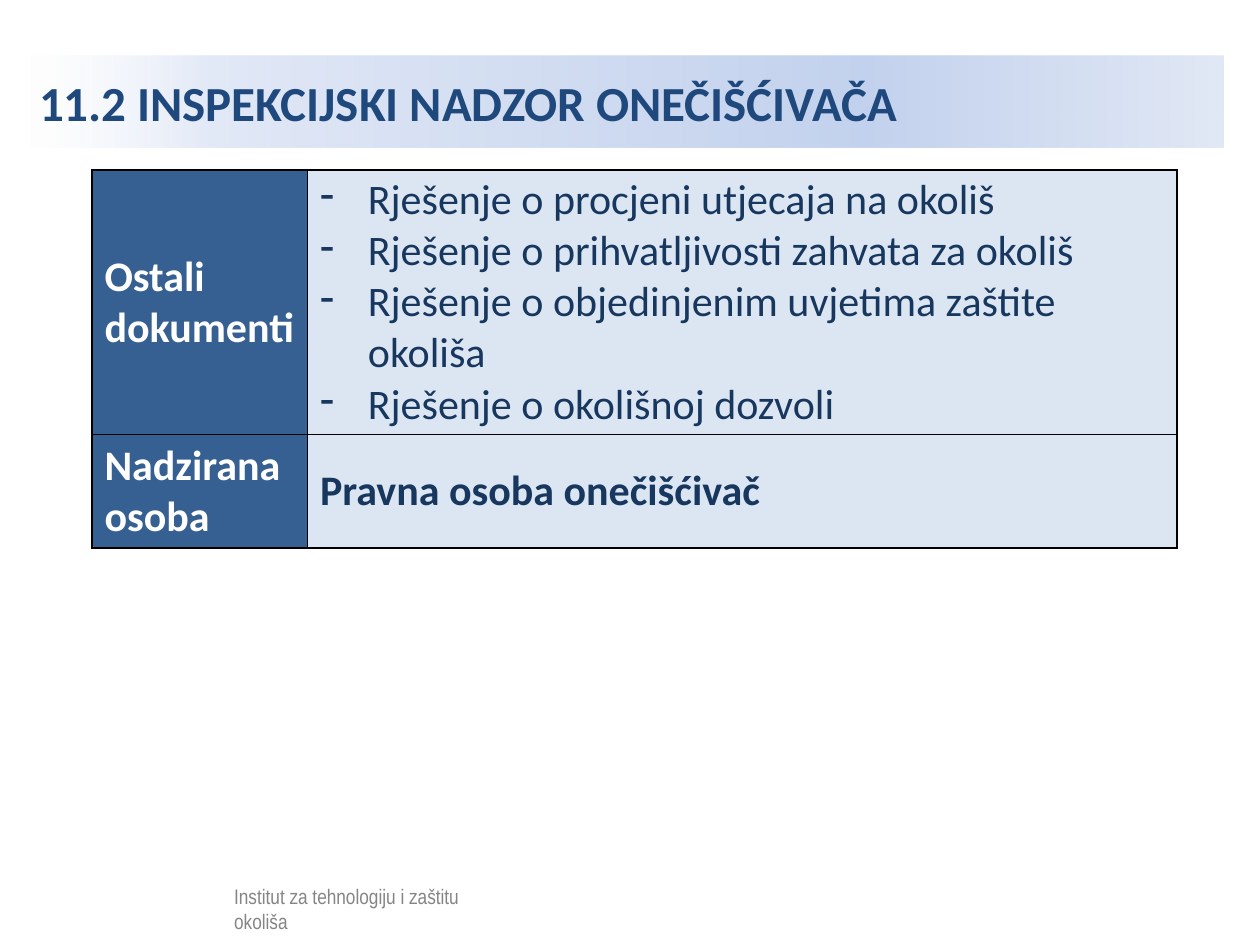
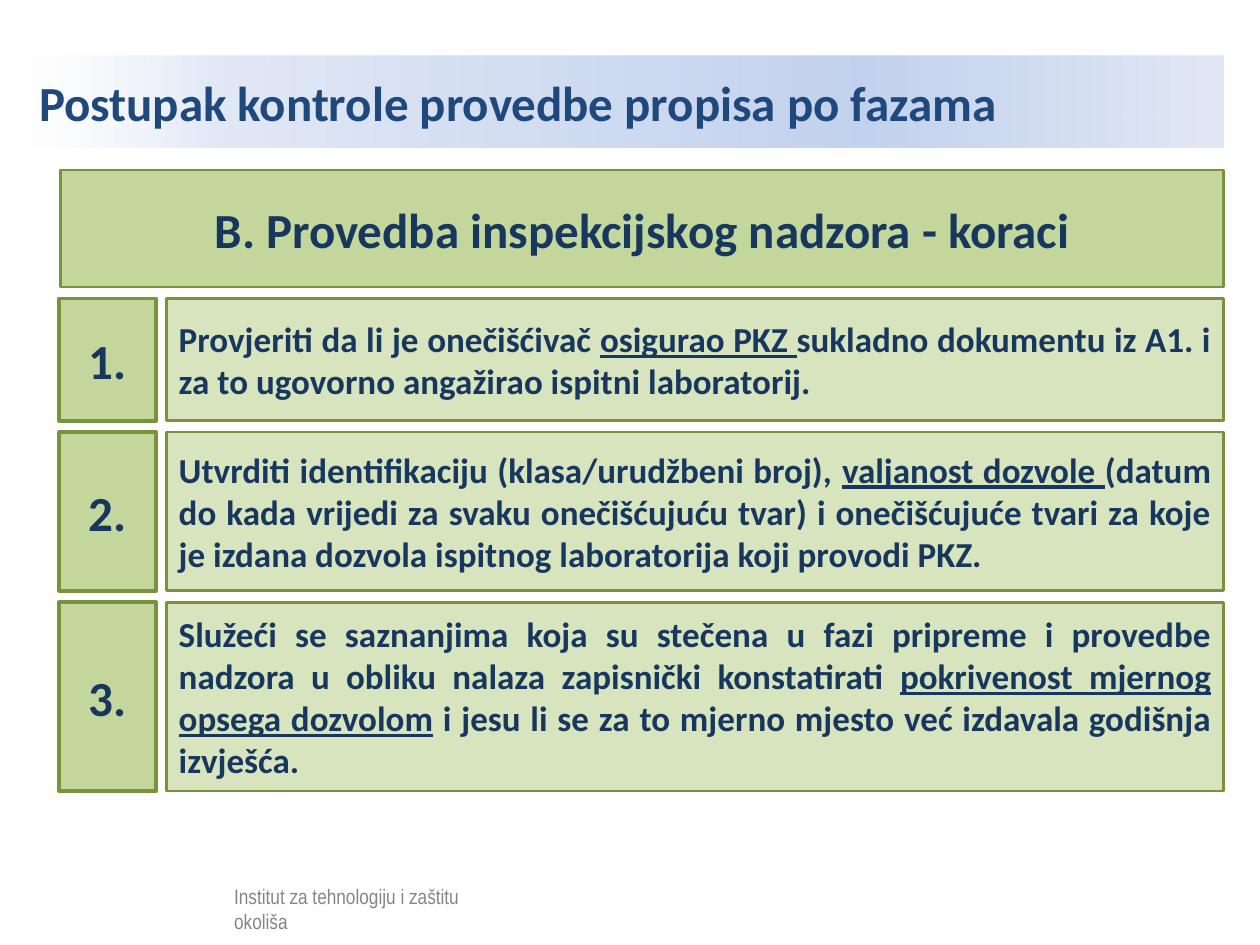
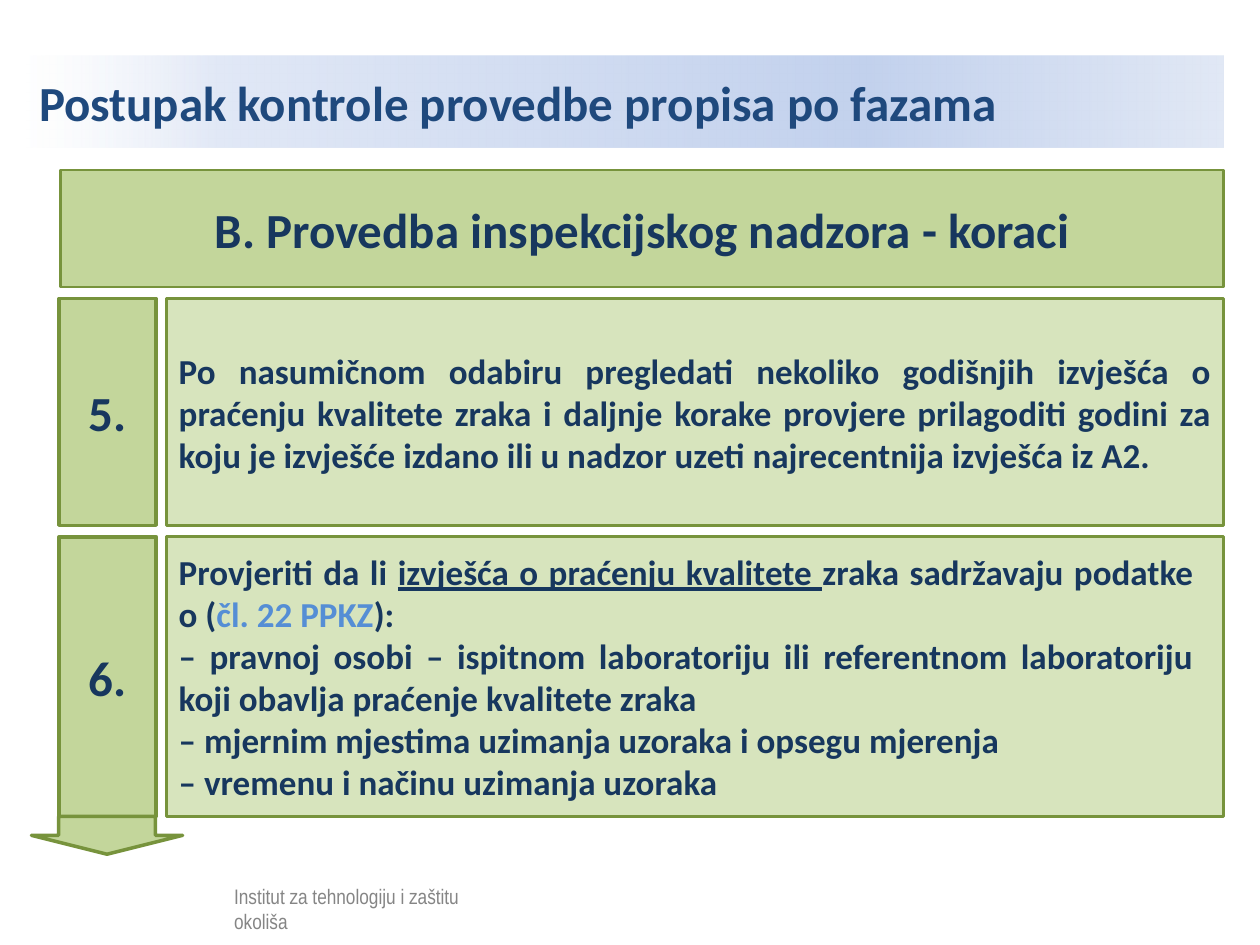
from lxml import etree
from pptx import Presentation
from pptx.dml.color import RGBColor
from pptx.enum import shapes, text
from pptx.oxml import parse_xml
from pptx.oxml.ns import nsdecls, qn
from pptx.util import Inches, Pt

# Shared style
NAVY, TITLE_BLUE, LINK_BLUE = "17375E", "1F497D", "558ED5"
HEAD_FILL, CELL_FILL, WHITE, BLACK = "376092", "DCE6F2", "FFFFFF", "000000"
GREEN, PALE_GREEN, GREEN_LINE = "C3D69B", "D7E4BD", "77933C"
BAND_STOPS = [(0, WHITE, 52), (16, "E1E8F6", 100), (70, "C2D1ED", 100), (100, "E1E8F5", 100)]
TITLE = {"name": "Calibri", "size": Pt(28), "bold": True, "color": TITLE_BLUE}
HEADING = {**TITLE, "color": NAVY}
BODY = {**HEADING, "size": Pt(20)}
CELL = {**HEADING, "size": Pt(24)}
FOOTER = {"name": "Arial Narrow", "size": Pt(12), "color": BLACK}
UNDER = {"underline": True}
LEFT, CENTER, JUSTIFY = (text.PP_ALIGN.LEFT, text.PP_ALIGN.CENTER, text.PP_ALIGN.JUSTIFY)
FOOTER_TEXT = "Institut za tehnologiju i zaštitu okoliša"

# Step grid
STEP_TOP, STEP_GAP = 2.37, 0.09
NUM_LEFT, NUM_W = 0.47, 0.77
TEXT_LEFT, TEXT_W = 1.32, 8.39


def rgb(hex_color):
    return RGBColor.from_string(hex_color)


class Deck:
    def __init__(self):
        self.prs = Presentation()
        self.prs.slide_width, self.prs.slide_height = Inches(10), Inches(7.5)
        self.slide = None

    def add_text(self, tf, paragraphs, style, align=LEFT):
        """Each paragraph is a string or a list of (text, changes) runs."""
        tf.word_wrap = True
        for i, runs in enumerate(paragraphs):
            p = tf.paragraphs[0] if i == 0 else tf.add_paragraph()
            p.alignment = align
            for content, changes in [(runs, {})] if isinstance(runs, str) else runs:
                r = p.add_run()
                r.text = content
                for key, value in {**style, **changes}.items():
                    if key == "color":
                        r.font.color.rgb = rgb(value)
                    else:
                        setattr(r.font, key, value)

    def indent(self, p, size, bullet=None):
        pPr = p._p.get_or_add_pPr()
        pPr.set("marL", str(Inches(size)))
        pPr.set("indent", str(-Inches(size)))
        if bullet:
            etree.SubElement(pPr, qn("a:buChar")).set("char", bullet)

    def start(self, title):
        self.slide = self.prs.slides.add_slide(self.prs.slide_layouts[5])
        # Title band with a gradient
        sp = self.slide.shapes.title
        sp.left, sp.top, sp.width, sp.height = map(Inches, (0.21, 0.44, 9.5, 0.73))
        tf = sp.text_frame
        tf.auto_size = text.MSO_AUTO_SIZE.NONE
        tf.vertical_anchor = text.MSO_ANCHOR.MIDDLE
        self.add_text(tf, [title], TITLE)
        self.indent(tf.paragraphs[0], 0.98)
        stops = "".join(
            f'<a:gs pos="{pos * 1000}"><a:srgbClr val="{color}">'
            f'<a:alpha val="{alpha * 1000}"/></a:srgbClr></a:gs>'
            for pos, color, alpha in BAND_STOPS)
        sp._element.spPr.append(parse_xml(
            f'<a:gradFill {nsdecls("a")} rotWithShape="1"><a:gsLst>{stops}</a:gsLst>'
            '<a:lin ang="0" scaled="0"/></a:gradFill>'))
        # Footer, softened by a translucent veil
        sp = self.slide.shapes.add_textbox(*map(Inches, (1.76, 6.96, 2.09, 0.25)))
        self.add_text(sp.text_frame, [FOOTER_TEXT], FOOTER)
        veil = self.box((0.41, 6.93, 3.82, 0.48), WHITE)
        color = veil._element.spPr.find(qn("a:solidFill"))[0]
        etree.SubElement(color, qn("a:alpha")).set("val", "52000")

    def box(self, at, fill, line=0, kind=shapes.MSO_SHAPE.RECTANGLE):
        sp = self.slide.shapes.add_shape(kind, *map(Inches, at))
        sp.shadow.inherit = False
        sp.fill.solid()
        sp.fill.fore_color.rgb = rgb(fill)
        if line:
            sp.line.color.rgb = rgb(GREEN_LINE)
            sp.line.width = Pt(line)
        else:
            sp.line.fill.background()
        sp.text_frame.vertical_anchor = text.MSO_ANCHOR.MIDDLE
        return sp

    def steps(self, heading, steps):
        """Draw the heading bar and numbered rows; return the bottom edge."""
        bar = self.box((0.48, 1.35, 9.23, 0.93), GREEN, 1.5)
        self.add_text(bar.text_frame, [heading], HEADING, CENTER)
        top = STEP_TOP
        for number, height, right_margin, paragraphs in steps:
            sp = self.box((TEXT_LEFT, top, TEXT_W, height), PALE_GREEN, 1.5)
            sp.text_frame.margin_right = Inches(right_margin)
            self.add_text(sp.text_frame, paragraphs, BODY, JUSTIFY)
            sp = self.box((NUM_LEFT, top, NUM_W, height), GREEN, 2)
            self.add_text(sp.text_frame, [f"{number}."], HEADING, CENTER)
            top += height + STEP_GAP
        return top - STEP_GAP

    def down_arrow(self, top):
        sp = self.box((0.25, top, 1.2, 0.3), GREEN, 2, shapes.MSO_SHAPE.DOWN_ARROW)
        sp.adjustments[0], sp.adjustments[1] = 0.64, 0.5

    def cell(self, cell, paragraphs, fill, style, bullet=None):
        cell.fill.solid()
        cell.fill.fore_color.rgb = rgb(fill)
        cell.vertical_anchor = text.MSO_ANCHOR.MIDDLE
        cell.margin_top = cell.margin_bottom = Inches(0.03)
        self.add_text(cell.text_frame, paragraphs, style)
        if bullet:
            for p in cell.text_frame.paragraphs:
                self.indent(p, 0.38, bullet)
        tcPr = cell._tc.get_or_add_tcPr()
        for i, side in enumerate(("lnL", "lnR", "lnT", "lnB")):
            tcPr.insert(i, parse_xml(
                f'<a:{side} {nsdecls("a")} w="{Pt(1)}"><a:solidFill>'
                f'<a:srgbClr val="{BLACK}"/></a:solidFill></a:{side}>'))

    def table(self, at, widths, rows):
        frame = self.slide.shapes.add_table(len(rows), len(widths), *map(Inches, at))
        tbl = frame.table
        tbl.first_row = tbl.horz_banding = False
        for column, width in zip(tbl.columns, widths):
            column.width = Inches(width)
        for i, (height, label, paragraphs, changes, bullet) in enumerate(rows):
            tbl.rows[i].height = Inches(height)
            self.cell(tbl.cell(i, 0), [label], HEAD_FILL, {**CELL, "color": WHITE})
            self.cell(tbl.cell(i, 1), paragraphs, CELL_FILL, {**CELL, **changes}, bullet)


def main():
    deck = Deck()
    phases = "Postupak kontrole provedbe propisa po fazama"
    heading = "B. Provedba inspekcijskog nadzora - koraci"

    # Slide 1: documents and supervised person
    deck.start("11.2 INSPEKCIJSKI NADZOR ONEČIŠĆIVAČA")
    documents = [
        "Rješenje o procjeni utjecaja na okoliš",
        "Rješenje o prihvatljivosti zahvata za okoliš",
        "Rješenje o objedinjenim uvjetima zaštite okoliša",
        "Rješenje o okolišnoj dozvoli",
    ]
    deck.table((0.73, 1.35, 8.61, 3), (1.71, 6.9), [
        (2.1, "Ostali dokumenti", documents, {"bold": False}, "-"),
        (0.9, "Nadzirana osoba", ["Pravna osoba onečišćivač"], {}, None),
    ])

    # Slide 2: steps 1 to 3
    deck.start(phases)
    deck.steps(heading, [
        (1, 0.97, 0.1, [[
            ("Provjeriti da li je onečišćivač ", {}),
            ("osigurao PKZ ", UNDER),
            ("sukladno dokumentu iz A1. i za to ugovorno angažirao ispitni laboratorij.", {}),
        ]]),
        (2, 1.26, 0.1, [[
            ("Utvrditi identifikaciju (klasa/urudžbeni broj), ", {}),
            ("valjanost dozvole ", UNDER),
            ("(datum do kada vrijedi za svaku onečišćujuću tvar) i onečišćujuće tvari "
             "za koje je izdana dozvola ispitnog laboratorija koji provodi PKZ.", {}),
        ]]),
        (3, 1.5, 0.1, [[
            ("Služeći se saznanjima koja su stečena u fazi pripreme i provedbe nadzora "
             "u obliku nalaza zapisnički konstatirati ", {}),
            ("pokrivenost mjernog opsega dozvolom", UNDER),
            (" i jesu li se za to mjerno mjesto već izdavala godišnja izvješća.", {}),
        ]]),
    ])

    # Slide 3: steps 5 and 6, continued by an arrow
    deck.start(phases)
    bottom = deck.steps(heading, [
        (5, 1.8, 0.1, [
            "Po nasumičnom odabiru pregledati nekoliko godišnjih izvješća o praćenju "
            "kvalitete zraka i daljnje korake provjere prilagoditi godini za koju je "
            "izvješće izdano ili u nadzor uzeti najrecentnija izvješća iz A2.",
        ]),
        (6, 2.22, 0.24, [
            [("Provjeriti da li ", {}),
             ("izvješća o praćenju kvalitete ", UNDER),
             ("zraka sadržavaju podatke o (", {}),
             ("čl. 22 PPKZ", {"color": LINK_BLUE}),
             ("):", {})],
            "– pravnoj osobi – ispitnom laboratoriju ili referentnom laboratoriju "
            "koji obavlja praćenje kvalitete zraka",
            "– mjernim mjestima uzimanja uzoraka i opsegu mjerenja",
            "– vremenu i načinu uzimanja uzoraka",
        ]),
    ])
    deck.down_arrow(bottom)

    deck.prs.save("out.pptx")


if __name__ == "__main__":
    main()
